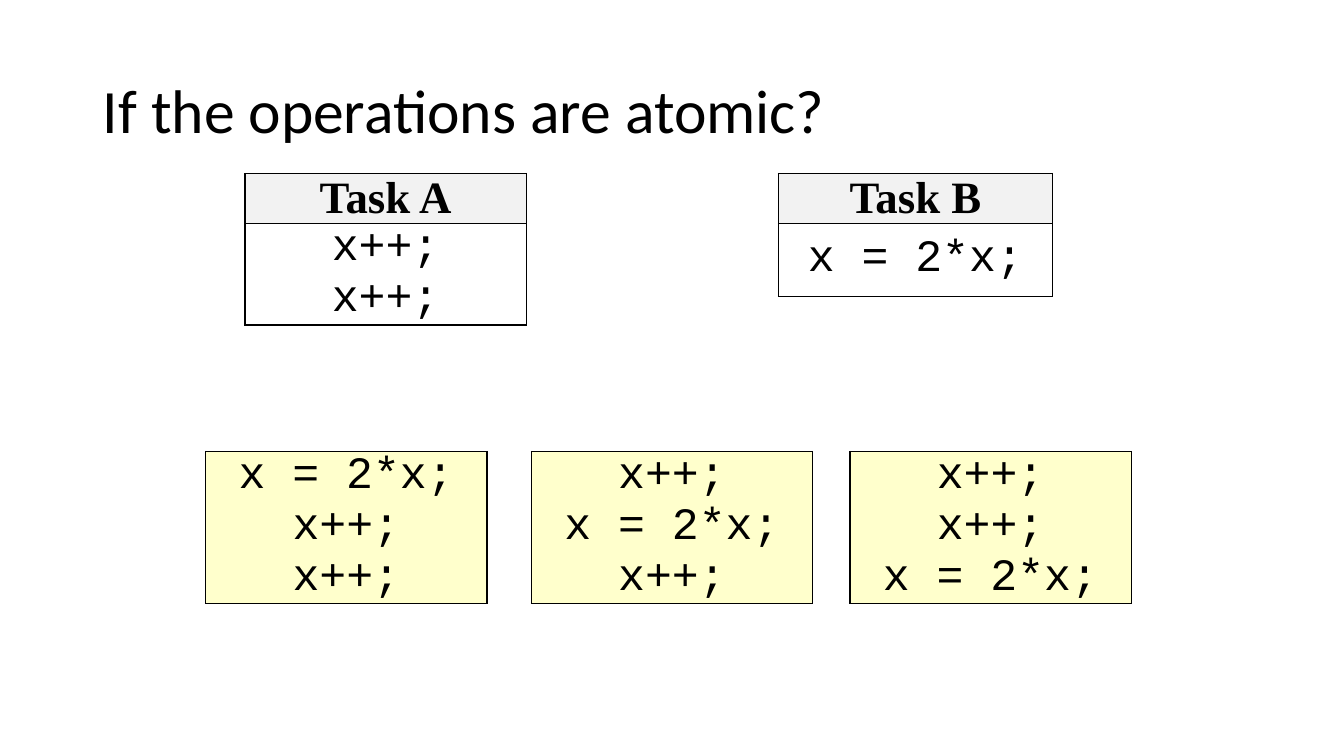
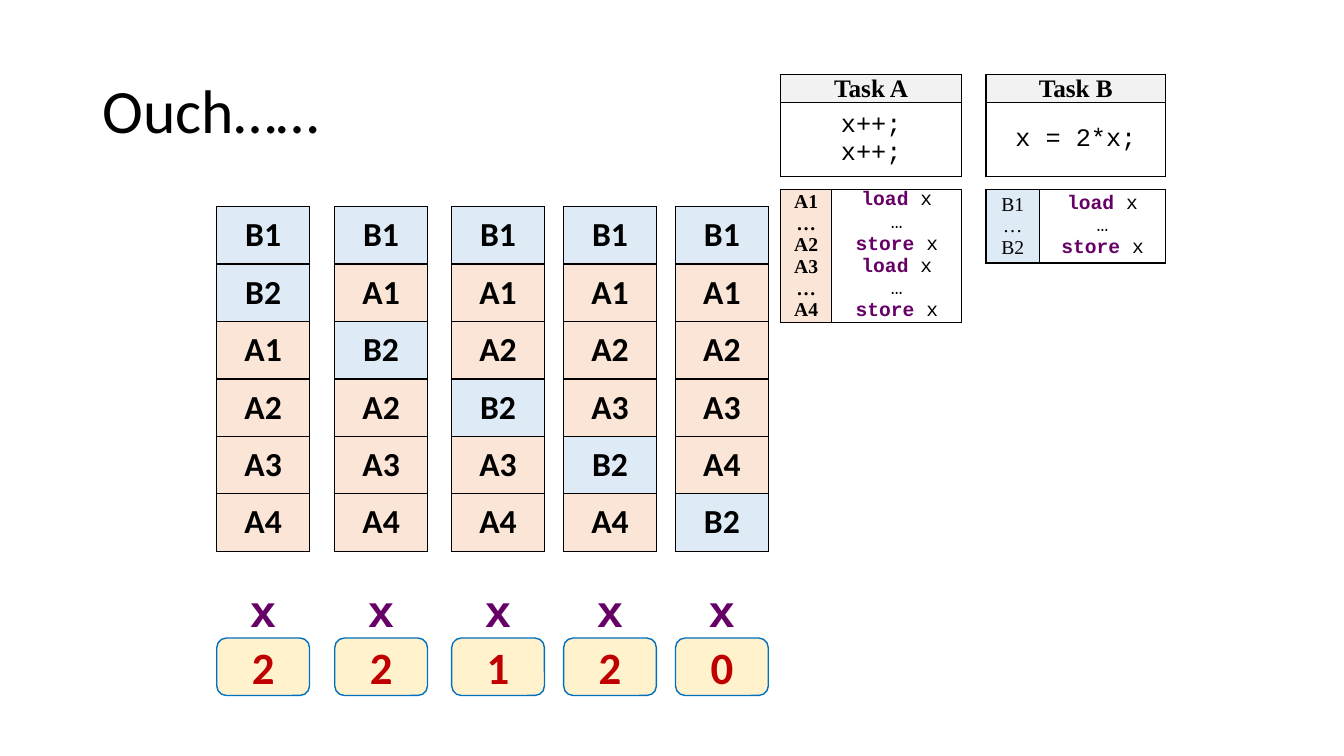
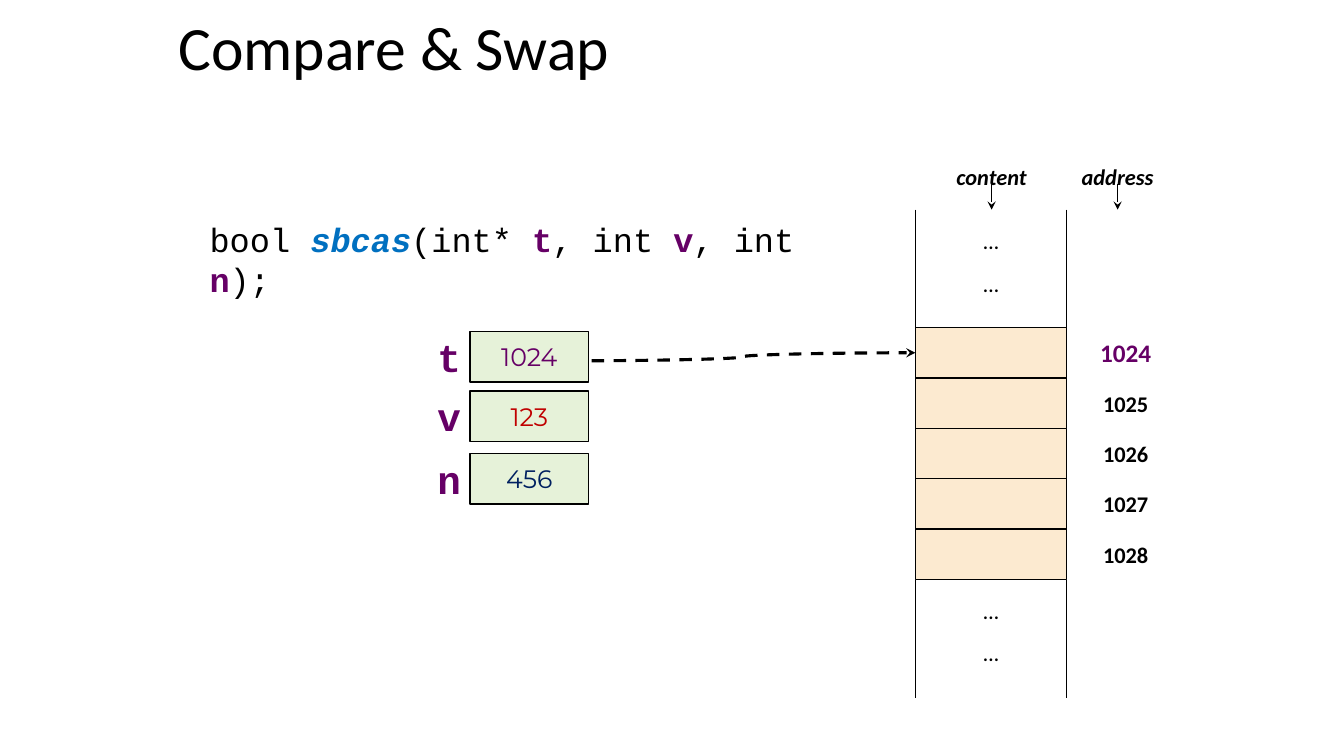
from lxml.etree import SubElement
from pptx import Presentation
from pptx.dml.color import RGBColor
from pptx.enum.dml import MSO_LINE
from pptx.enum.shapes import MSO_CONNECTOR as Link, MSO_SHAPE as Preset
from pptx.enum.text import MSO_ANCHOR as Anchor, PP_ALIGN as Align
from pptx.oxml import parse_xml
from pptx.oxml.ns import nsdecls, qn
from pptx.util import Inches, Pt

BLACK, WHITE, PURPLE, RED = "000000", "FFFFFF", "660066", "C00000"
BLUE, NAVY, GREY = "0070C0", "002060", "F2F2F2"
YELLOW, SKY, PEACH = "FFFFCC", "DEEBF7", "FBE5D6"
CREAM, SAND, GREEN = "FFF2CC", "FCEAD0", "E6F2D9"
SANS, CODE, SERIF, ROUND = "Calibri", "Courier New", "Times New Roman", "Montserrat"
TASK_FILLS = {"A": PEACH, "B": SKY}
TITLE_AREA = (0.92, 0.4, 11.5, 1.45)

INCREMENT, DOUBLE = "x++;", "x = 2*x;"
TASKS = {"Task A": [INCREMENT, INCREMENT], "Task B": [DOUBLE]}
ATOMIC_TASKS = [(2.43, 2.79, 1.01), (7.72, 2.72, 0.73)]
ATOMIC_ORDERS = [
    (2.04, [DOUBLE, INCREMENT, INCREMENT]),
    (5.27, [INCREMENT, DOUBLE, INCREMENT]),
    (8.43, [INCREMENT, INCREMENT, DOUBLE]),
]

SMALL_TASKS = [(7.74, 1.8, 0.73), (9.78, 1.78, 0.73)]
LOAD_STORE = ["load x", "…", "store x"]
ASSEMBLY = [
    (7.74, (0.51, 1.29), 1.32, ["A1", "…", "A2", "A3", "…", "A4"], LOAD_STORE * 2, True),
    (9.78, (0.53, 1.25), 0.73, ["B1", "…", "B2"], LOAD_STORE, False),
]
INTERLEAVINGS = [
    (2.15, "B1 B2 A1 A2 A3 A4", "2"),
    (3.32, "B1 A1 B2 A2 A3 A4", "2"),
    (4.48, "B1 A1 A2 B2 A3 A4", "1"),
    (5.59, "B1 A1 A2 A3 B2 A4", "2"),
    (6.7, "B1 A1 A2 A3 A4 B2", "0"),
]
STEP_WIDTH, STEP_HEIGHT = 0.92, 0.57

KEY = dict(color=PURPLE, bold=True)
SIGNATURE = [
    ("bool ", {}), ("sbcas", dict(color=BLUE, bold=True, italic=True)), ("(int* ", {}),
    ("t", KEY), (", int ", {}), ("v", KEY), (", int ", {}), ("n", KEY), (");", {}),
]
ARGUMENTS = [("t", "1024", PURPLE, 3.29), ("v", "123", RED, 3.88), ("n", "456", NAVY, 4.5)]
ADDRESSES = ["1024", "1025", "1026", "1027", "1028"]
MEMORY_LEFT, MEMORY_TOP, MEMORY_WIDTH, CELL_HEIGHT = 9.08, 3.25, 1.5, 0.5
MEMORY_HEADINGS = [("content", 9.42), ("address", 10.67)]
GAP_TOPS = [2.08, 5.75]
GAP_HEIGHT = 1.17


def rgb(code):
    return RGBColor.from_string(code)


def inches(*lengths):
    return [Inches(length) for length in lengths]


def style_font(font, size, name, color=BLACK, bold=False, italic=False):
    font.size, font.name, font.bold, font.italic = Pt(size), name, bold, italic
    font.color.rgb = rgb(color)


def write(frame, lines, size, name, align=Align.CENTER, gap=0, **look):
    frame.text = "\n".join(line if isinstance(line, str) else "" for line in lines)
    for index, (paragraph, line) in enumerate(zip(frame.paragraphs, lines)):
        paragraph.alignment = align
        if index and gap:
            paragraph.space_before = Pt(gap)
        if not isinstance(line, str):
            for text, _ in line:
                paragraph.add_run().text = text
        looks = [{}] if isinstance(line, str) else [own for _, own in line]
        for run, own in zip(paragraph.runs, looks):
            style_font(run.font, size, name, **{**look, **own})


def set_insets(holder, side, vertical):
    holder.margin_left = holder.margin_right = Inches(side)
    holder.margin_top = holder.margin_bottom = Inches(vertical)


def add_slide(deck, title, area=TITLE_AREA):
    slide = deck.slides.add_slide(deck.slide_layouts[5])
    heading = slide.shapes.title
    heading.left, heading.top, heading.width, heading.height = inches(*area)
    heading.text_frame.vertical_anchor = Anchor.MIDDLE
    write(heading.text_frame, [title], 44, SANS, Align.LEFT)
    heading.text_frame.paragraphs[0].line_spacing = 0.9
    return slide


def add_grid(slide, left, top, widths, heights):
    area = inches(left, top, sum(widths), sum(heights))
    grid = slide.shapes.add_table(len(heights), len(widths), *area).table
    grid.first_row = grid.horz_banding = False
    for column, width in zip(grid.columns, widths):
        column.width = Inches(width)
    for row, height in zip(grid.rows, heights):
        row.height = Inches(height)
    return grid


def fill_cell(cell, lines, size, name, fill=None, anchor=Anchor.MIDDLE, insets=(0.07, 0), **look):
    write(cell.text_frame, lines, size, name, **look)
    cell.vertical_anchor = anchor
    set_insets(cell, *insets)
    if fill:
        cell.fill.solid()
        cell.fill.fore_color.rgb = rgb(fill)
    else:
        cell.fill.background()
    for index, side in enumerate(("lnL", "lnR", "lnT", "lnB")):
        cell._tc.get_or_add_tcPr().insert(index, parse_xml(
            f'<a:{side} {nsdecls("a")} w="12700"><a:solidFill>'
            f'<a:srgbClr val="{BLACK}"/></a:solidFill></a:{side}>'))


def add_tasks(slide, top, places, header_height, size):
    for (left, width, height), (task, code) in zip(places, TASKS.items()):
        grid = add_grid(slide, left, top, [width], [header_height, height])
        fill_cell(grid.cell(0, 0), [task], size, SERIF, GREY, Anchor.TOP, bold=True)
        fill_cell(grid.cell(1, 0), code, size, CODE)


def add_box(slide, preset, area, fill, line=BLACK):
    box = slide.shapes.add_shape(preset, *inches(*area))
    box.shadow.inherit = False
    box.fill.solid()
    box.fill.fore_color.rgb = rgb(fill)
    box.line.color.rgb = rgb(line)
    box.line.width = Pt(1)
    box.text_frame.vertical_anchor = Anchor.MIDDLE
    return box


def add_label(slide, area, lines, size, name, **look):
    frame = slide.shapes.add_textbox(*inches(*area)).text_frame
    frame.word_wrap = True
    frame.vertical_anchor = Anchor.MIDDLE
    set_insets(frame, 0, 0)
    write(frame, lines, size, name, **look)


def add_line(slide, start, end, kind=Link.STRAIGHT, width=1, dash=None, arrow=False):
    connector = slide.shapes.add_connector(kind, *inches(*start, *end))
    connector.line.color.rgb = rgb(BLACK)
    connector.line.width = Pt(width)
    if dash:
        connector.line.dash_style = dash
    if arrow:
        SubElement(connector.line._get_or_add_ln(), qn("a:tailEnd"), type="stealth")
    SubElement(connector._element.spPr, qn("a:effectLst"))


def build_atomic(deck):
    slide = add_slide(deck, "If the operations are atomic?")
    add_tasks(slide, 1.72, ATOMIC_TASKS, 0.49, 32)
    for left, code in ATOMIC_ORDERS:
        grid = add_grid(slide, left, 4.48, [2.79], [1.51])
        fill_cell(grid.cell(0, 0), code, 32, CODE, YELLOW)


def highlight(instruction):
    keyword, space, operand = instruction.partition(" ")
    return [(keyword, KEY), (space + operand, {})] if operand else instruction


def build_interleavings(deck):
    slide = add_slide(deck, "Ouch……")
    add_tasks(slide, 0.74, SMALL_TASKS, 0.28, 18)
    for left, widths, height, steps, code, bold in ASSEMBLY:
        grid = add_grid(slide, left, 1.88, widths, [height])
        fill_cell(grid.cell(0, 0), steps, 14, SERIF, TASK_FILLS[steps[0][0]], bold=bold)
        fill_cell(grid.cell(0, 1), [highlight(line) for line in code], 14, CODE, WHITE)
    for left, order, result in INTERLEAVINGS:
        steps = order.split()
        grid = add_grid(slide, left, 2.05, [STEP_WIDTH], [STEP_HEIGHT] * len(steps))
        for row, step in enumerate(steps):
            fill_cell(grid.cell(row, 0), [step], 24, SANS, TASK_FILLS[step[0]],
                      insets=(0.1, 0.05), bold=True)
        add_label(slide, (left, 5.76, STEP_WIDTH, STEP_HEIGHT), ["x"], 32, CODE, **KEY)
        value = add_box(slide, Preset.ROUNDED_RECTANGLE,
                        (left, 6.33, STEP_WIDTH, STEP_HEIGHT), CREAM, BLUE)
        write(value.text_frame, [result], 32, SANS, color=RED, bold=True)


def build_compare_swap(deck):
    slide = add_slide(deck, "Compare & Swap", (1.67, -0.02, 10, 1.04))
    for top in GAP_TOPS:
        add_label(slide, (MEMORY_LEFT, top - 0.08, MEMORY_WIDTH, GAP_HEIGHT),
                  ["…", "…"], 18, ROUND, gap=9)
        for x in (MEMORY_LEFT, MEMORY_LEFT + MEMORY_WIDTH):
            add_line(slide, (x, top), (x, top + GAP_HEIGHT))
    for heading, left in MEMORY_HEADINGS:
        add_label(slide, (left, 1.5, 0.83, 0.5), [heading], 16, SANS, bold=True, italic=True)
        middle = left + 0.83 / 2
        add_line(slide, (middle, 1.83), (middle, 2.08), arrow=True)
    for index, address in enumerate(ADDRESSES):
        top = MEMORY_TOP + index * CELL_HEIGHT
        add_box(slide, Preset.RECTANGLE, (MEMORY_LEFT, top, MEMORY_WIDTH, CELL_HEIGHT), SAND)
        size, color = (16, BLACK) if index else (18, PURPLE)
        add_label(slide, (10.75, top, 0.83, CELL_HEIGHT), [address], size, SANS,
                  color=color, bold=True)
    add_line(slide, (5.65, 3.58), (MEMORY_LEFT, MEMORY_TOP + CELL_HEIGHT / 2),
             Link.CURVE, 2.25, MSO_LINE.DASH, arrow=True)
    for argument, value, color, top in ARGUMENTS:
        box = add_box(slide, Preset.RECTANGLE, (4.66, top, 1.18, CELL_HEIGHT), GREEN)
        set_insets(box.text_frame, 0, 0)
        write(box.text_frame, [value], 18, ROUND, color=color)
        add_label(slide, (4.25, top, 0.41, CELL_HEIGHT), [argument], 28, CODE, **KEY)
    signature = slide.shapes.add_textbox(*inches(1.98, 2.12, 6.53, 0.9)).text_frame
    signature.word_wrap = True
    write(signature, [SIGNATURE], 24, CODE, Align.LEFT)


def main():
    deck = Presentation()
    deck.slide_width, deck.slide_height = inches(13.33, 7.5)
    build_atomic(deck)
    build_interleavings(deck)
    build_compare_swap(deck)
    deck.save("out.pptx")


if __name__ == "__main__":
    main()
